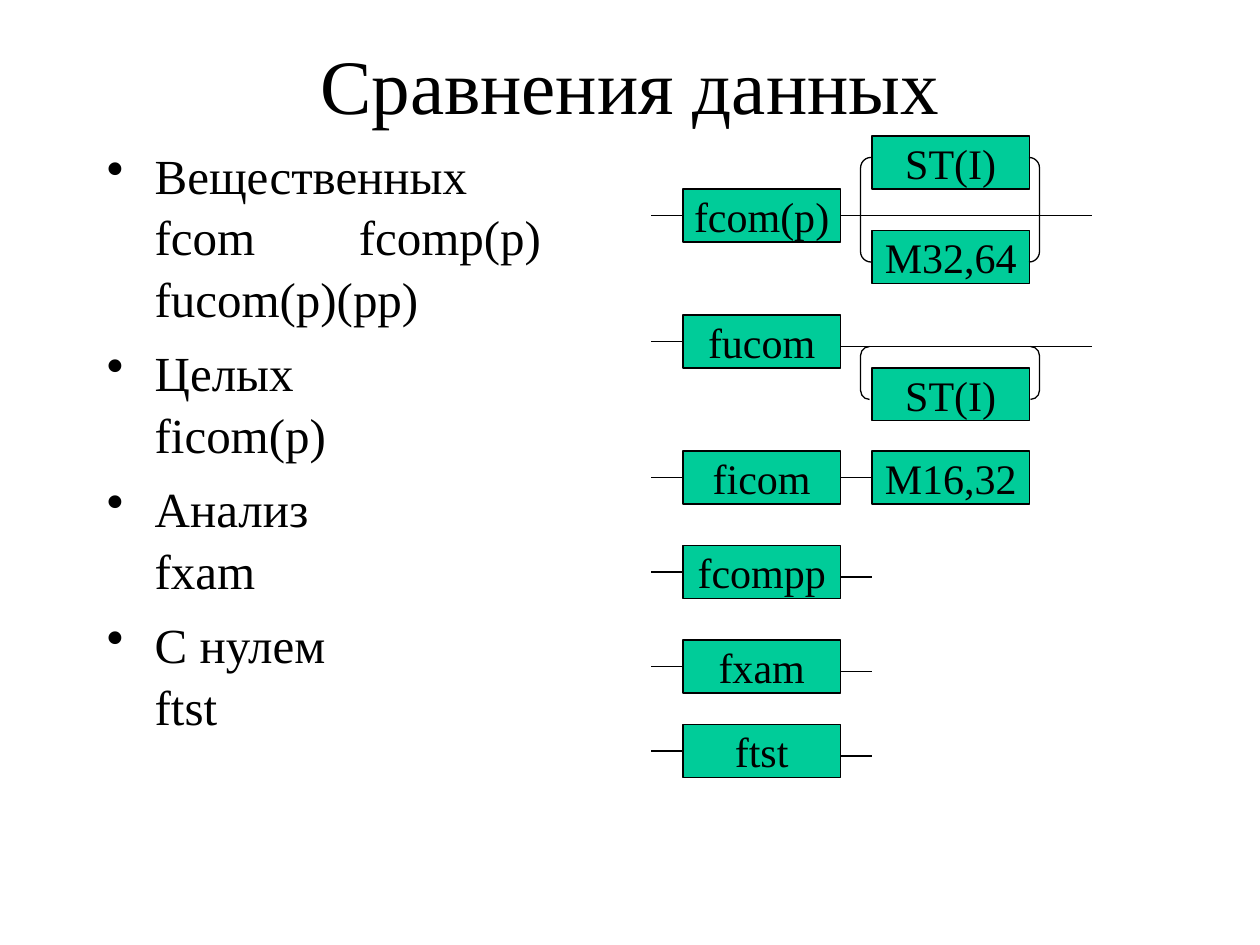
from lxml import etree
from pptx import Presentation
from pptx import util as u
from pptx.dml.color import RGBColor
from pptx.enum import shapes, text
from pptx.oxml import ns

HUES = {"ink": "000000", "box": "00CC99"}
FONT = "Times New Roman"
WIDE, HIGH = 1.25, 0.42
LEFT, RIGHT = 5.42, 6.92
STUB = 0.25
TOPS = {"fcom(p)": 1.5, "fucom": 2.5, "ficom": 3.58,
        "fcompp": 4.33, "fxam": 5.08, "ftst": 5.75}
ITEMS = ["Вещественных\vfcom\tfcomp(p)\vfucom(p)(pp)",
         "Целых\vficom(p)", "Анализ\vfxam", "С нулем\vftst"]


def hue(name):
    """Return the named colour."""
    return RGBColor.from_string(HUES[name])


def write(frame, lines, size=24, align=None, anchor=text.MSO_ANCHOR.MIDDLE,
          wrap=True, before=0, space=None):
    """Fill a text frame with one paragraph per line."""
    frame.word_wrap = wrap
    frame.vertical_anchor = anchor
    for i, line in enumerate(lines):
        para = frame.add_paragraph() if i else frame.paragraphs[0]
        para.text = line
        para.alignment = align
        para.space_before = u.Pt(before)
        para.line_spacing = space
        for run in para.runs:
            run.font.size = u.Pt(size)
            run.font.name = FONT
            run.font.color.rgb = hue("ink")


def label(slide, area, lines, **style):
    """Add a text box and return its frame."""
    frame = slide.shapes.add_textbox(*map(u.Inches, area)).text_frame
    write(frame, lines, **style)
    return frame


def bullet(para):
    """Give a paragraph a hanging bullet and a tab stop."""
    props = para._p.get_or_add_pPr()
    props.set("marL", str(u.Inches(0.38)))
    props.set("indent", str(u.Inches(-0.38)))
    etree.SubElement(props, ns.qn("a:buChar"), char="•")
    tabs = etree.SubElement(props, ns.qn("a:tabLst"))
    etree.SubElement(tabs, ns.qn("a:tab"), pos=str(u.Inches(2)), algn="l")


def shape(slide, kind, area):
    """Add an outlined shape without fill."""
    item = slide.shapes.add_shape(kind, *map(u.Inches, area))
    item.shadow.inherit = False
    item.fill.background()
    item.line.color.rgb = hue("ink")
    item.line.width = u.Pt(0.75)
    return item


def box(slide, name, left, top):
    """Add a filled box with a centred name."""
    item = shape(slide, shapes.MSO_SHAPE.RECTANGLE, (left, top, WIDE, HIGH))
    item.fill.solid()
    item.fill.fore_color.rgb = hue("box")
    write(item.text_frame, [name], align=text.PP_ALIGN.CENTER, wrap=False)
    return item


def loop(slide, top, high, bend):
    """Add a bracket pair around the operand boxes."""
    item = shape(slide, shapes.MSO_SHAPE.DOUBLE_BRACKET,
                 (6.83, top, 1.42, high))
    item.adjustments[0] = bend


def wire(slide, start, end, level, head=None, tail=None):
    """Add a level line, joined to the box at either end if given."""
    line = slide.shapes.add_connector(
        shapes.MSO_CONNECTOR.STRAIGHT, u.Inches(start), u.Inches(level),
        u.Inches(end), u.Inches(level))
    line.line.color.rgb = hue("ink")
    line.line.width = u.Pt(0.75)
    etree.SubElement(line._element.spPr, ns.qn("a:effectLst"))
    if head:
        line.begin_connect(head, 3)
    if tail:
        line.end_connect(tail, 1)


def main():
    """Build the slide and save it."""
    deck = Presentation()
    deck.slide_width, deck.slide_height = u.Inches(10), u.Inches(7.5)
    slide = deck.slides.add_slide(deck.slide_layouts[6])

    label(slide, (0.75, 0.33, 8.5, 0.67), ["Сравнения данных"],
          size=44, align=text.PP_ALIGN.CENTER)
    body = label(slide, (0.75, 1.08, 4.17, 5.58), ITEMS, size=28,
                 anchor=text.MSO_ANCHOR.TOP, before=7, space=1.05)
    for para in body.paragraphs:
        bullet(para)

    codes = {}
    for name, top in TOPS.items():
        codes[name] = box(slide, name, LEFT, top)
        wire(slide, LEFT - STUB, LEFT, top + HIGH / 2, tail=codes[name])

    for name, top in (("ST(I)", 1.08), ("M32,64", 1.83), ("ST(I)", 2.92)):
        box(slide, name, RIGHT, top)
    loop(slide, 1.25, 0.83, 0.1)
    loop(slide, 2.75, 0.42, 0.17)

    edge = LEFT + WIDE
    wire(slide, edge, 8.67, TOPS["fcom(p)"] + HIGH / 2, head=codes["fcom(p)"])
    wire(slide, edge, 8.67, TOPS["fucom"] + STUB)
    word = box(slide, "M16,32", RIGHT, TOPS["ficom"])
    wire(slide, edge, RIGHT, TOPS["ficom"] + HIGH / 2,
         head=codes["ficom"], tail=word)
    for name in ("fcompp", "fxam", "ftst"):
        wire(slide, edge, RIGHT, TOPS[name] + STUB)

    deck.save("out.pptx")


if __name__ == "__main__":
    main()
